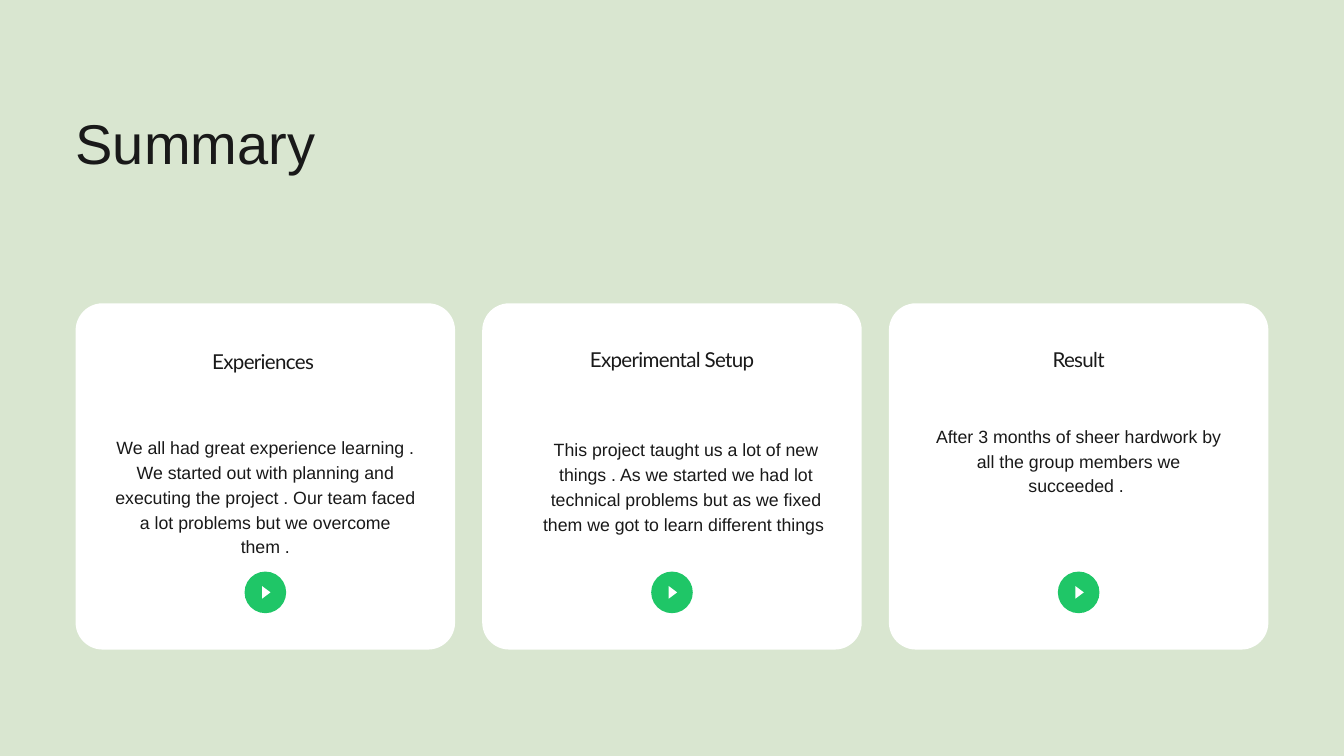
from dataclasses import dataclass

from pptx import Presentation
from pptx.dml.color import RGBColor
from pptx.enum.shapes import MSO_SHAPE
from pptx.enum.text import MSO_ANCHOR, MSO_AUTO_SIZE, PP_ALIGN
from pptx.util import Pt

SAGE = RGBColor(0xD9, 0xE6, 0xD0)
WHITE = RGBColor(0xFF, 0xFF, 0xFF)
GREEN = RGBColor(0x1F, 0xC6, 0x67)
INK = RGBColor(0x19, 0x19, 0x19)

PAGE_WIDTH, PAGE_HEIGHT = 1440, 810
MARGIN = 81
CARD_TOP, CARD_WIDTH, CARD_HEIGHT, CARD_RADIUS = 325, 406.6, 371, 29
TEXT_WIDTH = 322.6
BUTTON_SIZE, BUTTON_CENTER = 44.6, 634.7
ARROW_WIDTH, ARROW_HEIGHT, ARROW_SHIFT = 13.5, 9, 1


@dataclass(frozen=True)
class TextStyle:
    font: str
    size: float
    line: float
    align: PP_ALIGN = PP_ALIGN.CENTER
    tracking: float = 0


@dataclass(frozen=True)
class Card:
    heading: str
    heading_top: float
    heading_height: float
    body: str
    body_top: float
    body_height: float
    body_shift: float = 0


TITLE = TextStyle("Arial", 60, 78, PP_ALIGN.LEFT)
HEADING = TextStyle("Lato", 22, 28.6, tracking=-0.7)
BODY = TextStyle("Arial", 19, 26.6)

CARDS = [
    Card("Experiences ", 372.2, 27.6,
         "We all had great experience learning . We started out with planning and "
         "executing the project . Our team faced a lot problems but we overcome them .",
         464.4, 128.2),
    Card("Experimental Setup", 369.4, 28,
         "This project taught us a lot of new things . As we started we had lot technical "
         "problems but as we fixed them we got to learn different things ",
         466.6, 102.2, body_shift=15),
    Card("Result", 369.4, 28,
         "After 3 months of sheer hardwork by all the group members we succeeded . ",
         452.2, 76.3),
]


def write(box, text: str, style: TextStyle) -> None:
    frame = box.text_frame
    frame_format = {
        "margin_left": 0, "margin_top": 0, "margin_right": 0, "margin_bottom": 0,
        "word_wrap": True, "auto_size": MSO_AUTO_SIZE.SHAPE_TO_FIT_TEXT,
        "vertical_anchor": MSO_ANCHOR.TOP,
    }
    for name, value in frame_format.items():
        setattr(frame, name, value)
    para = frame.paragraphs[0]
    para.alignment = style.align
    para.line_spacing = Pt(style.line)
    span = para.add_run()
    span.text = text
    for name, value in {"name": style.font, "size": Pt(style.size)}.items():
        setattr(span.font, name, value)
    span.font.color.rgb = INK
    if style.tracking:
        span.font._element.set("spc", str(round(style.tracking * 100)))


def add_text(page, center: float, top: float, height: float, text: str,
             style: TextStyle) -> None:
    box = page.shapes.add_textbox(Pt(center - TEXT_WIDTH / 2), Pt(top),
                                  Pt(TEXT_WIDTH), Pt(height))
    write(box, text, style)


def add_plain_shape(page, kind: MSO_SHAPE, center_x: float, center_y: float,
                    width: float, height: float, color: RGBColor):
    """Add a centred shape with a flat fill and neither line nor shadow."""
    shape = page.shapes.add_shape(kind, Pt(center_x - width / 2), Pt(center_y - height / 2),
                                  Pt(width), Pt(height))
    shape.shadow.inherit = False
    shape.fill.solid()
    shape.fill.fore_color.rgb = color
    shape.line.fill.background()
    return shape


def add_card(page, card: Card, center: float) -> None:
    panel = add_plain_shape(page, MSO_SHAPE.ROUNDED_RECTANGLE, center,
                            CARD_TOP + CARD_HEIGHT / 2, CARD_WIDTH, CARD_HEIGHT, WHITE)
    panel.adjustments[0] = CARD_RADIUS / CARD_HEIGHT
    add_plain_shape(page, MSO_SHAPE.OVAL, center, BUTTON_CENTER,
                    BUTTON_SIZE, BUTTON_SIZE, GREEN)
    arrow = add_plain_shape(page, MSO_SHAPE.ISOSCELES_TRIANGLE, center + ARROW_SHIFT,
                            BUTTON_CENTER, ARROW_WIDTH, ARROW_HEIGHT, WHITE)
    arrow.rotation = 90
    add_text(page, center, card.heading_top, card.heading_height, card.heading, HEADING)
    add_text(page, center + card.body_shift, card.body_top, card.body_height,
             card.body, BODY)


def main() -> None:
    deck = Presentation()
    deck.slide_width, deck.slide_height = Pt(PAGE_WIDTH), Pt(PAGE_HEIGHT)
    page = deck.slides.add_slide(deck.slide_layouts.get_by_name("Title Only"))
    page.background.fill.solid()
    page.background.fill.fore_color.rgb = SAGE

    title = page.shapes.title
    place = {"left": MARGIN, "top": 110.2, "width": 858, "height": 75.6}
    for name, value in place.items():
        setattr(title, name, Pt(value))
    write(title, "Summary", TITLE)

    pitch = (PAGE_WIDTH - 2 * MARGIN - CARD_WIDTH) / (len(CARDS) - 1)
    for index, card in enumerate(CARDS):
        add_card(page, card, MARGIN + CARD_WIDTH / 2 + index * pitch)

    deck.save("out.pptx")


if __name__ == "__main__":
    main()
